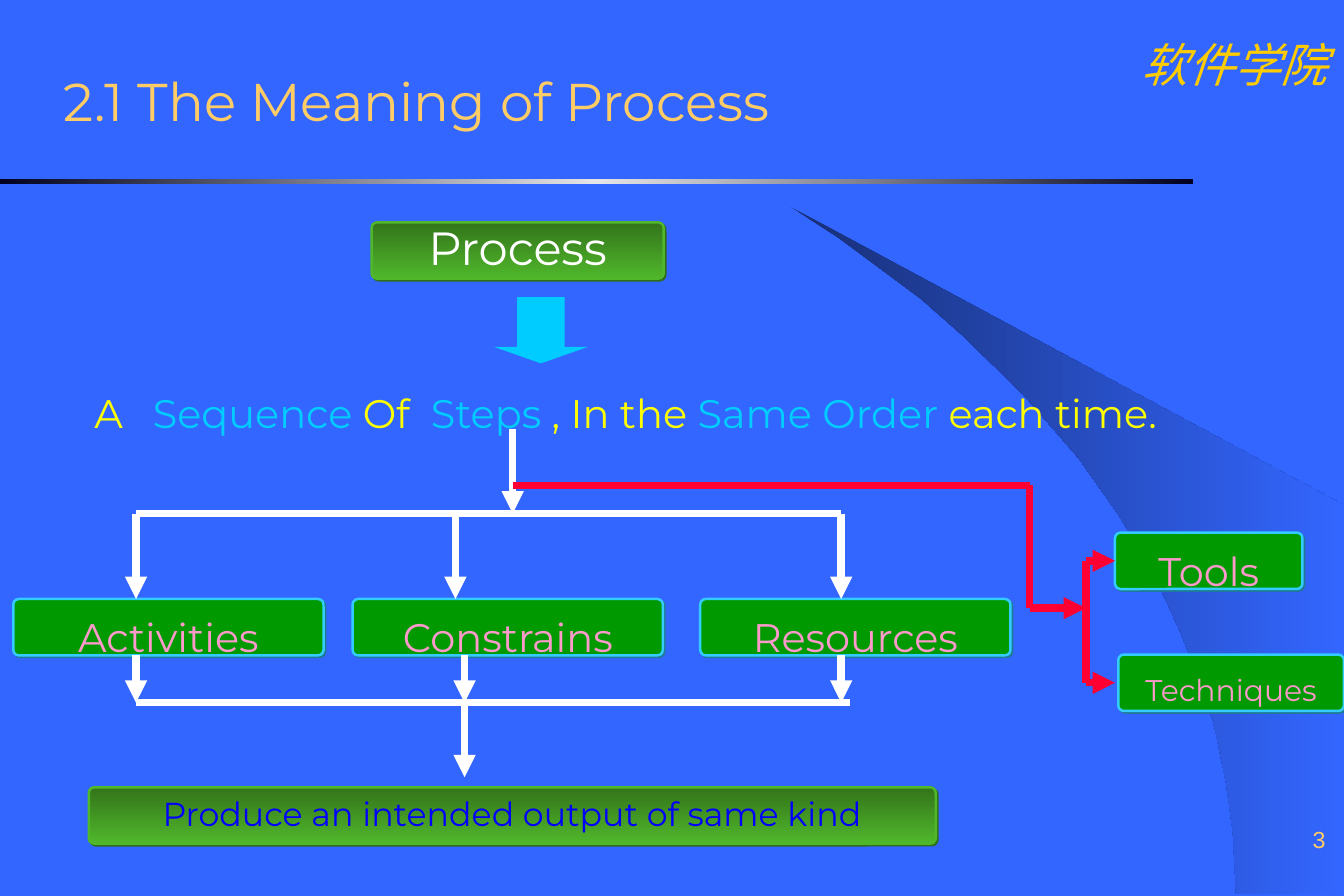
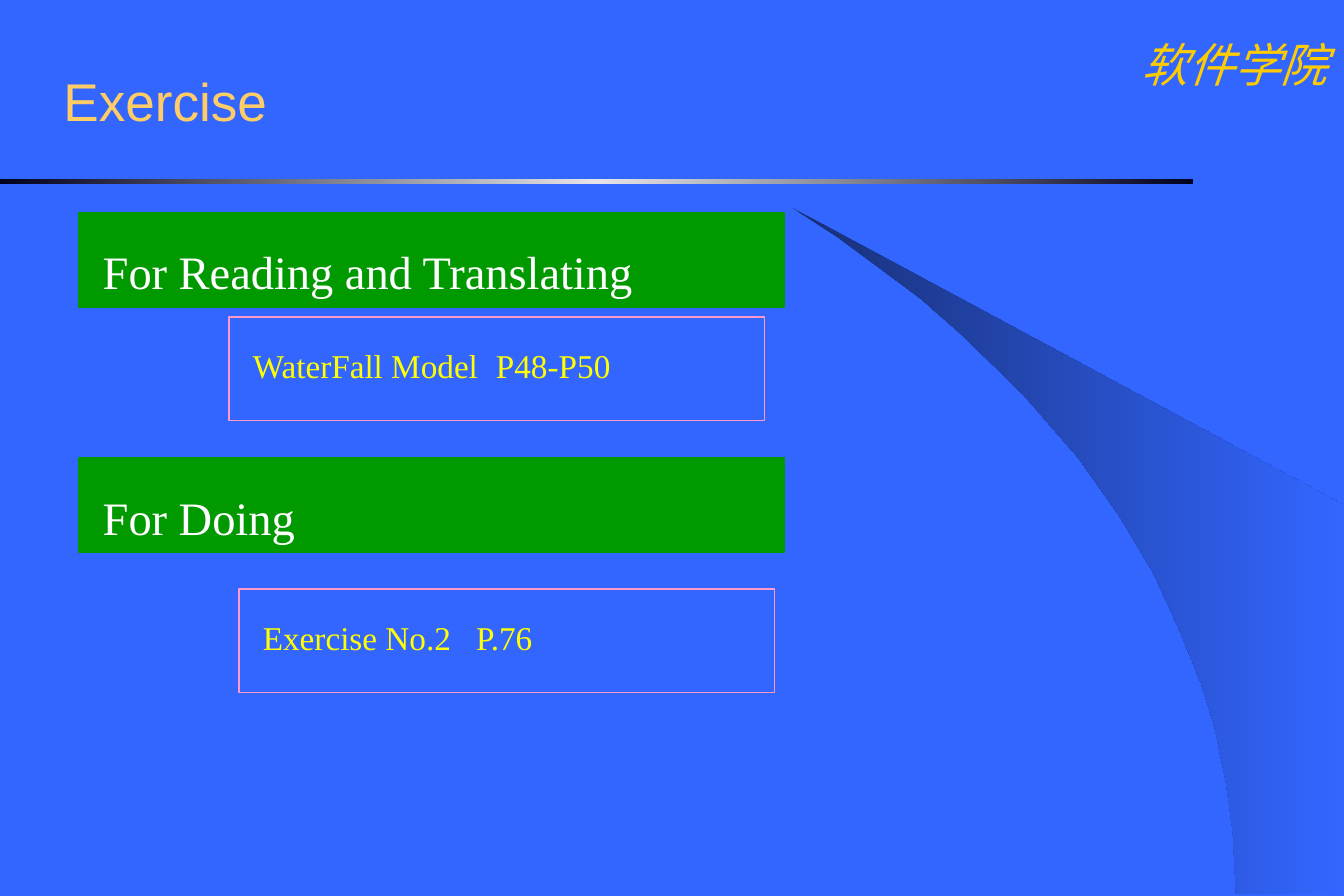
from copy import deepcopy
from dataclasses import dataclass

from lxml.etree import SubElement
from pptx import Presentation
from pptx.dml.color import RGBColor
from pptx.enum.shapes import MSO_CONNECTOR as Link, MSO_SHAPE as Preset
from pptx.enum.text import MSO_ANCHOR as Anchor, PP_ALIGN as Align
from pptx.oxml.ns import qn
from pptx.util import Pt


@dataclass(frozen=True)
class Theme:
    # Colours
    back: str = "3366FF"
    wedge: tuple = ("182F76", "3366FF")
    rule: tuple = ("000020", "E5E5E8", "000020")
    title: str = "FFCC66"
    school: str = "FFCC00"
    green: str = "009900"
    glossy: tuple = ("33741B", "50B72B")
    glossy_shadow: str = "306E1A"
    box_line: str = "33CCFF"
    box_shadow: str = "1F7A99"
    pink: str = "FF99CC"
    cyan: str = "00CCFF"
    yellow: str = "FFFF00"
    white: str = "FFFFFF"
    blue: str = "0000FF"
    red: str = "FF0033"
    # Fonts and sizes
    modern: str = "Montserrat"
    sans: str = "Arial"
    serif: str = "Times New Roman"
    title_size: int = 32
    head_size: int = 28
    text_size: int = 24
    note_size: int = 20
    small_size: int = 18
    number_size: int = 14
    flow_width: float = 4.5


THEME = Theme()
WEDGE = [(745, 539), (809, 539), (809, 304), (477, 125), (505, 143),
         (528, 160), (555, 180), (580, 202), (617, 238), (650, 276),
         (674, 310), (695, 345), (711, 380), (724, 412), (732, 438),
         (739, 472), (743, 501)]
BOX_HEIGHT = 34


# Formatting
def rgb(code):
    return RGBColor.from_string(code)


def apply(target, values):
    for key, value in values.items():
        setattr(target, key, value)


def paint(shape, fill=None, line=None, width=0.75, angle=0):
    """Fill with nothing, one colour, or a tuple of gradient colours."""
    shape.shadow.inherit = False
    if fill is None:
        shape.fill.background()
    elif isinstance(fill, str):
        shape.fill.solid()
        shape.fill.fore_color.rgb = rgb(fill)
    else:
        shape.fill.gradient()
        shape.fill.gradient_angle = angle
        stop_list = shape.element.spPr.find(".//" + qn("a:gsLst"))
        while len(stop_list) < len(fill):
            stop_list.append(deepcopy(stop_list[-1]))
        for index, (stop, code) in enumerate(
                zip(shape.fill.gradient_stops, fill)):
            stop.position = index / (len(fill) - 1)
            stop.color.rgb = rgb(code)
    if line:
        shape.line.color.rgb = rgb(line)
        shape.line.width = Pt(width)
    else:
        shape.line.fill.background()


def cast_shadow(shape, color):
    effects = shape.element.spPr.find(qn("a:effectLst"))
    shadow = SubElement(effects, qn("a:outerShdw"), dist=str(Pt(1.4)),
                        dir="2700000", algn="ctr", rotWithShape="0")
    SubElement(shadow, qn("a:srgbClr"), val=color)


def write(shape, runs, font, size, align=Align.LEFT, anchor=Anchor.MIDDLE,
          spacing=1.0, side=7.2, edge=3.6, tabs=(), italic=None):
    """Write one paragraph of (text, colour) runs."""
    frame = shape.text_frame
    apply(frame, dict(word_wrap=True, vertical_anchor=anchor,
                      margin_left=Pt(side), margin_right=Pt(side),
                      margin_top=Pt(edge), margin_bottom=Pt(edge)))
    paragraph = frame.paragraphs[0]
    apply(paragraph, dict(alignment=align, line_spacing=spacing))
    if tabs:
        tab_list = SubElement(paragraph._p.get_or_add_pPr(), qn("a:tabLst"))
        for stop in tabs:
            SubElement(tab_list, qn("a:tab"), pos=str(Pt(stop)), algn="l")
    for text, color in runs:
        run = paragraph.add_run()
        run.text = text
        apply(run.font, dict(name=font, size=Pt(size), italic=italic))
        run.font.color.rgb = rgb(color)
    return paragraph


# Kinds of element
def add_text(slide, area, runs, font, size, **style):
    box = slide.shapes.add_textbox(*map(Pt, area))
    return box, write(box, runs, font, size, **style)


def add_preset(slide, preset, area, **look):
    shape = slide.shapes.add_shape(preset, *map(Pt, area))
    paint(shape, **look)
    return shape


def add_box(slide, left, top, width, text, color=THEME.pink,
            size=THEME.text_size, glossy=False):
    fill, line, shadow, spacing = (
        (THEME.glossy, THEME.glossy[1], THEME.glossy_shadow, 0.9) if glossy
        else (THEME.green, THEME.box_line, THEME.box_shadow, 1.4))
    box = add_preset(slide, Preset.ROUNDED_RECTANGLE,
                     (left, top, width, BOX_HEIGHT),
                     fill=fill, line=line, width=1.5, angle=270)
    box.adjustments[0] = 0.097
    cast_shadow(box, shadow)
    write(box, [(text, color)], THEME.modern, size,
          align=Align.CENTER, spacing=spacing, edge=0)


def add_flow(slide, *points, color=THEME.white, arrow=True):
    """Join the points by straight lines, the last one with an arrowhead."""
    for index, (start, end) in enumerate(zip(points, points[1:]), 2):
        line = slide.shapes.add_connector(Link.STRAIGHT,
                                          *map(Pt, start + end))
        line.line.color.rgb = rgb(color)
        line.line.width = Pt(THEME.flow_width)
        properties = line.element.spPr
        if arrow and index == len(points):
            SubElement(properties.find(qn("a:ln")), qn("a:tailEnd"),
                       type="triangle")
        SubElement(properties, qn("a:effectLst"))


def add_title(slide, text, width, font):
    title = slide.shapes.title
    apply(title, dict(left=Pt(31), top=Pt(32), width=Pt(width),
                      height=Pt(57)))
    write(title, [(text, THEME.title)], font, THEME.title_size)


def add_number(slide, number):
    paragraph = add_text(slide, (638, 484, 168, 30),
                         [(number, THEME.title)], THEME.sans,
                         THEME.number_size, align=Align.RIGHT,
                         anchor=Anchor.BOTTOM, edge=0)[1]
    run = paragraph.runs[0]._r
    field = SubElement(paragraph._p, qn("a:fld"), type="slidenum",
                       id="{B6F15528-21DE-4FAA-801E-634DDDAF4B2B}")
    field.extend(list(run))
    paragraph._p.remove(run)


def decorate_layout(layout, slide):
    """Draw the shared parts on a slide, then move them to its layout."""
    layout.background.fill.solid()
    layout.background.fill.fore_color.rgb = rgb(THEME.back)
    school = add_text(slide, (678, 18, 132, 41), [("软件学院", THEME.school)],
                      THEME.serif, THEME.head_size, align=Align.CENTER,
                      anchor=Anchor.TOP, italic=True)[0]
    outline = slide.shapes.build_freeform(*WEDGE[0], scale=Pt(1))
    outline.add_line_segments(WEDGE[1:], close=True)
    wedge = outline.convert_to_shape()
    paint(wedge, fill=THEME.wedge)
    rule = add_preset(slide, Preset.RECTANGLE, (0, 108, 719, 3),
                      fill=THEME.rule)
    for place, part in enumerate((school, wedge, rule), 2):
        layout.shapes.element.insert(place, part.element)


# Slides
def build_process(slide):
    add_title(slide, "2.1 The Meaning of Process", 550, THEME.modern)
    add_number(slide, "3")

    # Definition
    yellow, cyan = THEME.yellow, THEME.cyan
    add_text(slide, (42.5, 219, 737, BOX_HEIGHT),
             [("A\t", yellow), ("Sequence ", cyan), ("Of\t", yellow),
              ("Steps", cyan), (" , In the ", yellow), ("Same Order", cyan),
              (" each time.", yellow)],
             THEME.modern, THEME.text_size, anchor=Anchor.TOP, spacing=1.4,
             side=14.4, tabs=(35.3, 202.8))
    add_box(slide, 224, 134, 176, "Process", THEME.white, THEME.head_size,
            glossy=True)
    add_preset(slide, Preset.DOWN_ARROW, (297.5, 179, 57, 40), fill=cyan)\
        .adjustments[1] = 0.25

    # Parts of a process, between two bars
    trunk, split, top, merge = 309, 309.5, 361, 423.5
    bottom = top + BOX_HEIGHT
    first, middle, last = 82, 280, 507
    for text, left, entry, leave in (("Activities", 8, first, first),
                                     ("Constrains", 212.5, 274.5, middle),
                                     ("Resources", 422, last, last)):
        add_box(slide, left, top, 187, text)
        add_flow(slide, (entry, split), (entry, top))
        add_flow(slide, (leave, bottom), (leave, merge))
    add_flow(slide, (trunk, 258.5), (trunk, split))
    add_flow(slide, (first, split), (last, split), arrow=False)
    add_flow(slide, (first, merge), (512.5, merge), arrow=False)
    add_flow(slide, (middle, merge), (middle, 468.5))
    add_box(slide, 53.5, 474.5, 510.5,
            "Produce an intended output of same kind", THEME.blue,
            THEME.note_size, glossy=True)

    # Branch to tools and techniques
    fork, level = 654.5, 366.5
    add_flow(slide, (trunk, 292.5), (620.5, 292.5), (620.5, level),
             (fork, level), color=THEME.red)
    for text, left, box_top, width, size in (
            ("Tools", 672, 321, 113, THEME.text_size),
            ("Techniques", 674, 394.5, 136, THEME.small_size)):
        add_box(slide, left, box_top, width, text, size=size)
        center = box_top + BOX_HEIGHT / 2
        add_flow(slide, (fork, level), (fork, center), (672, center),
                 color=THEME.red)


def build_exercise(slide):
    add_title(slide, "Exercise", 779, THEME.sans)
    for heading, head_top, note, left, note_top, tab in (
            ("For Reading and Translating", 128,
             "WaterFall Model\tP48-P50", 138, 191, 146.5),
            ("For Doing", 276, "Exercise No.2\tP.76", 144, 355, 128.5)):
        banner = add_preset(slide, Preset.RECTANGLE,
                            (47.5, head_top, 425.5, 57),
                            fill=THEME.green, line=THEME.green)
        write(banner, [(heading, THEME.white)], THEME.serif,
              THEME.head_size, spacing=1.4, side=14.4)
        task = add_preset(slide, Preset.RECTANGLE,
                          (left, note_top, 323, 62.5), line=THEME.pink)
        write(task, [(note, THEME.yellow)], THEME.serif, THEME.note_size,
              spacing=0.8, side=14.4, tabs=(tab,))


def main():
    deck = Presentation()
    apply(deck, dict(slide_width=Pt(810), slide_height=Pt(540)))
    deck.element.set("firstSlideNum", "3")
    layout = deck.slide_layouts[5]
    process, exercise = (deck.slides.add_slide(layout) for _ in range(2))
    decorate_layout(layout, process)
    build_process(process)
    build_exercise(exercise)
    deck.save("out.pptx")


if __name__ == "__main__":
    main()
